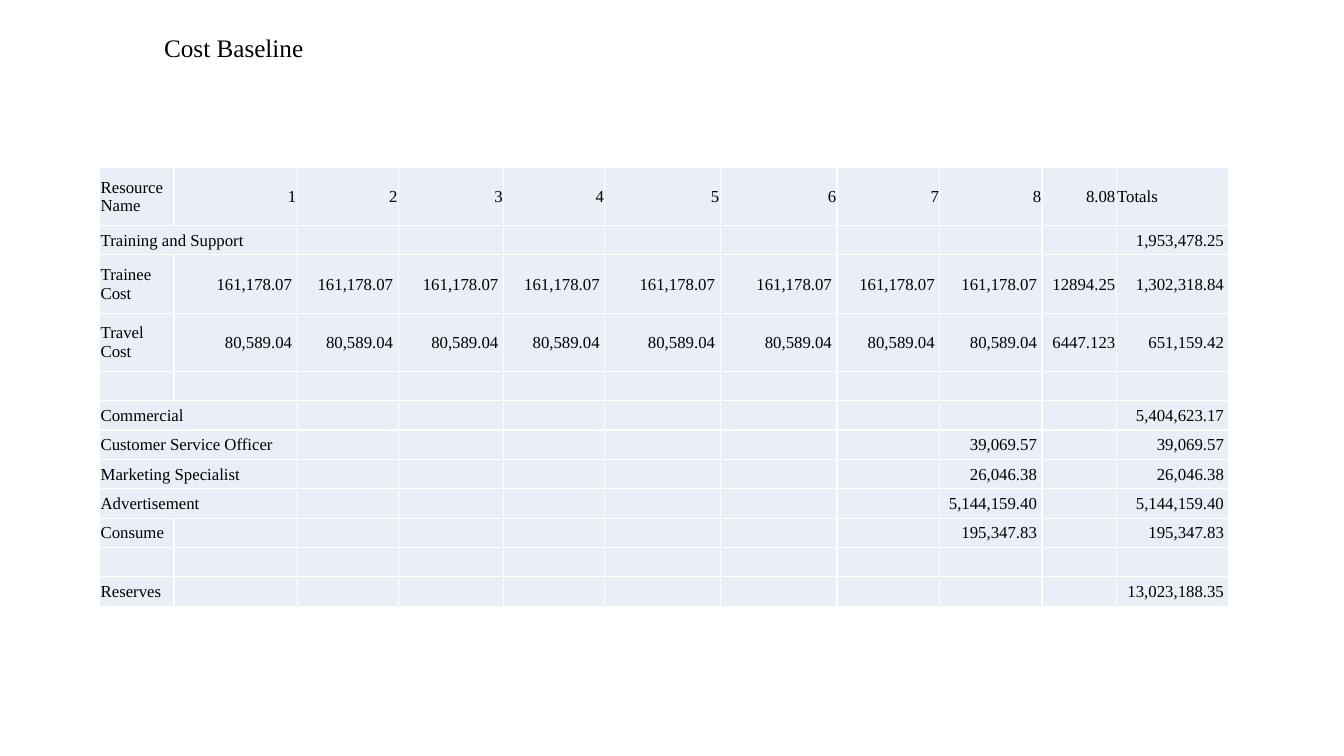
import dataclasses

import lxml.etree
import pptx
import pptx.dml.color
import pptx.enum.text
import pptx.oxml.ns
import pptx.util

Pt = pptx.util.Pt
Align = pptx.enum.text.PP_ALIGN
Anchor = pptx.enum.text.MSO_ANCHOR


@dataclasses.dataclass(frozen=True)
class Theme:
    face: str = "Times New Roman"
    ink: str = "000000"
    fill: str = "EAEFF7"
    rule: str = "FFFFFF"
    head: int = 18
    body: int = 12


THEME = Theme()
WIDTHS = [53, 88, 72.2, 75.2, 72.4, 82.4, 83.5, 73.5, 73, 53, 80.6]
TALL, SHORT = 41.6, 21
LAST = len(WIDTHS) - 1
MONTHS = range(1, 9)


def monthly(name, cost, part, total):
    return {0: name, **{month: cost for month in MONTHS}, 9: part, LAST: total}


def final(name, cost):
    return {0: name, 8: cost, LAST: cost}


ROWS = [
    {0: "Resource Name", **{month: str(month) for month in MONTHS}, 9: "8.08", LAST: "Totals"},
    {0: "Training and Support", LAST: "1,953,478.25 "},
    monthly("Trainee Cost", "161,178.07 ", "12894.25", "1,302,318.84 "),
    monthly("Travel Cost", "80,589.04 ", "6447.123", "651,159.42 "),
    {},
    {0: "Commercial", LAST: "5,404,623.17 "},
    final("Customer Service Officer", "39,069.57 "),
    final("Marketing Specialist", "26,046.38 "),
    final("Advertisement", "5,144,159.40 "),
    final("Consume", "195,347.83 "),
    {},
    {0: "Reserves", LAST: "13,023,188.35 "},
]
TALL_ROWS = {0, 2, 3}
WIDE_ROWS = {1, 5, 6, 7, 8}


def color(code):
    return pptx.dml.color.RGBColor.from_string(code)


def style(para, size, align):
    para.alignment = align
    para.font.name = THEME.face
    para.font.size = Pt(size)
    para.font.color.rgb = color(THEME.ink)


def add_title(slide, text):
    title = slide.shapes.title
    title.left, title.top, title.width, title.height = Pt(110), Pt(19.4), Pt(115.4), Pt(29)
    frame = title.text_frame
    frame.text = text
    frame.word_wrap = False
    frame.auto_size = pptx.enum.text.MSO_AUTO_SIZE.SHAPE_TO_FIT_TEXT
    frame.vertical_anchor = Anchor.TOP
    style(frame.paragraphs[0], THEME.head, Align.LEFT)


def add_rules(cell):
    props = cell._tc.get_or_add_tcPr()
    for place, side in enumerate(("lnL", "lnR", "lnT", "lnB")):
        line = lxml.etree.Element(pptx.oxml.ns.qn(f"a:{side}"), w=str(Pt(1)))
        fill = lxml.etree.SubElement(line, pptx.oxml.ns.qn("a:solidFill"))
        lxml.etree.SubElement(fill, pptx.oxml.ns.qn("a:srgbClr"), val=THEME.rule)
        props.insert(place, line)


def fill_cell(cell, text):
    cell.text = text
    cell.vertical_anchor = Anchor.MIDDLE
    cell.margin_left = cell.margin_right = cell.margin_top = Pt(0.6)
    cell.margin_bottom = Pt(0)
    cell.fill.solid()
    cell.fill.fore_color.rgb = color(THEME.fill)
    align = Align.RIGHT if text[:1].isdigit() else Align.LEFT
    style(cell.text_frame.paragraphs[0], THEME.body, align)
    add_rules(cell)


def add_costs(slide):
    heights = [TALL if row in TALL_ROWS else SHORT for row in range(len(ROWS))]
    frame = slide.shapes.add_table(len(ROWS), len(WIDTHS), Pt(71.3), Pt(119.5),
                                   Pt(sum(WIDTHS)), Pt(sum(heights)))
    table = frame.table
    table.first_row = table.horz_banding = False
    for column, width in zip(table.columns, WIDTHS):
        column.width = Pt(width)
    for row, (texts, height) in enumerate(zip(ROWS, heights)):
        table.rows[row].height = Pt(height)
        for col in range(len(WIDTHS)):
            fill_cell(table.cell(row, col), texts.get(col, ""))
        if row in WIDE_ROWS:
            table.cell(row, 0).merge(table.cell(row, 1))


def main():
    deck = pptx.Presentation()
    deck.slide_width, deck.slide_height = Pt(960), Pt(540)
    slide = deck.slides.add_slide(deck.slide_layouts[5])
    add_title(slide, "Cost Baseline")
    add_costs(slide)
    deck.save("out.pptx")


if __name__ == "__main__":
    main()
